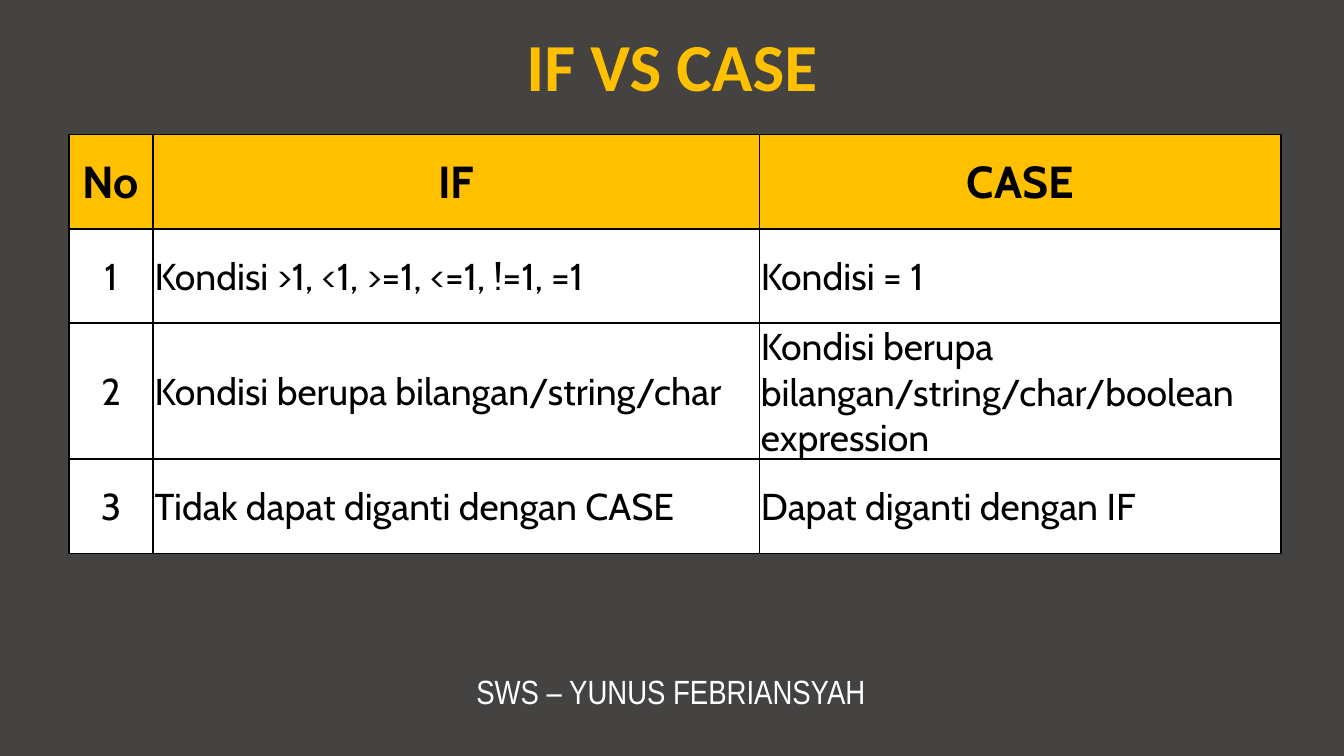
from dataclasses import dataclass

import lxml.etree
import pptx
import pptx.dml.color
import pptx.enum.text
import pptx.oxml.ns
import pptx.util

Pt = pptx.util.Pt
Align = pptx.enum.text.PP_ALIGN
Anchor = pptx.enum.text.MSO_ANCHOR
qn = pptx.oxml.ns.qn


@dataclass(frozen=True)
class Theme:
    back: str = "444342"
    gold: str = "FFC000"
    white: str = "FFFFFF"
    black: str = "000000"
    title: int = 36
    head: int = 24
    body: int = 20
    foot: int = 18
    line: int = 1


THEME = Theme()
ROWS = [
    ("No", "IF", "CASE"),
    ("1", "Kondisi >1, <1, >=1, <=1, !=1, =1", "Kondisi = 1"),
    ("2", "Kondisi berupa bilangan/string/char",
     "Kondisi berupa bilangan/string/char/boolean expression"),
    ("3", "Tidak dapat diganti dengan CASE", "Dapat diganti dengan IF"),
]
WIDTHS = (45.2, 324.8, 279.4)


def paint(fill, color):
    fill.solid()
    fill.fore_color.rgb = pptx.dml.color.RGBColor.from_string(color)


def style(para, face, size, color, bold=False, align=Align.CENTER):
    para.alignment = align
    font = para.font
    font.name, font.size, font.bold = face, Pt(size), bold
    paint(font.fill, color)


def label(slide, box, text, face, size, color, bold=False):
    frame = slide.shapes.add_textbox(*map(Pt, box)).text_frame
    frame.word_wrap = True
    frame.vertical_anchor = Anchor.MIDDLE
    frame.text = text
    style(frame.paragraphs[0], face, size, color, bold)


def border(cell):
    props = cell._tc.get_or_add_tcPr()
    for side in ("lnL", "lnR", "lnT", "lnB"):
        line = lxml.etree.SubElement(props, qn(f"a:{side}"), w=str(Pt(THEME.line)))
        fill = lxml.etree.SubElement(line, qn("a:solidFill"))
        lxml.etree.SubElement(fill, qn("a:srgbClr"), val=THEME.black)


def fill_cell(cell, text, head, align):
    cell.text = text
    cell.vertical_anchor = Anchor.MIDDLE
    cell.margin_left = cell.margin_right = cell.margin_top = Pt(0.75)
    cell.margin_bottom = Pt(0)
    border(cell)
    paint(cell.fill, THEME.gold if head else THEME.white)
    size = THEME.head if head else THEME.body
    style(cell.text_frame.paragraphs[0], "Cabin", size, THEME.black, head, align)


def grid(slide, box):
    left, top, width, height = box
    shape = slide.shapes.add_table(
        len(ROWS), len(WIDTHS), Pt(left), Pt(top), Pt(width), Pt(height))
    table = shape.table
    for col, share in zip(table.columns, WIDTHS):
        col.width = Pt(width * share / sum(WIDTHS))
    for i, row in enumerate(ROWS):
        table.rows[i].height = Pt(height / len(ROWS))
        for j, text in enumerate(row):
            align = Align.CENTER if i == 0 or j == 0 else Align.LEFT
            fill_cell(table.cell(i, j), text, i == 0, align)


def main():
    deck = pptx.Presentation()
    deck.slide_width, deck.slide_height = Pt(720), Pt(405)
    slide = deck.slides.add_slide(deck.slide_layouts[6])
    paint(slide.background.fill, THEME.back)
    label(slide, (206.5, 355.7, 306, 29), "SWS – YUNUS FEBRIANSYAH",
          "Arial Narrow", THEME.foot, THEME.white)
    label(slide, (0, 12.2, 720, 45.4), "IF VS CASE",
          "Calibri", THEME.title, THEME.gold, True)
    grid(slide, (36.9, 72, sum(WIDTHS), 202.5))
    deck.save("out.pptx")


if __name__ == "__main__":
    main()
